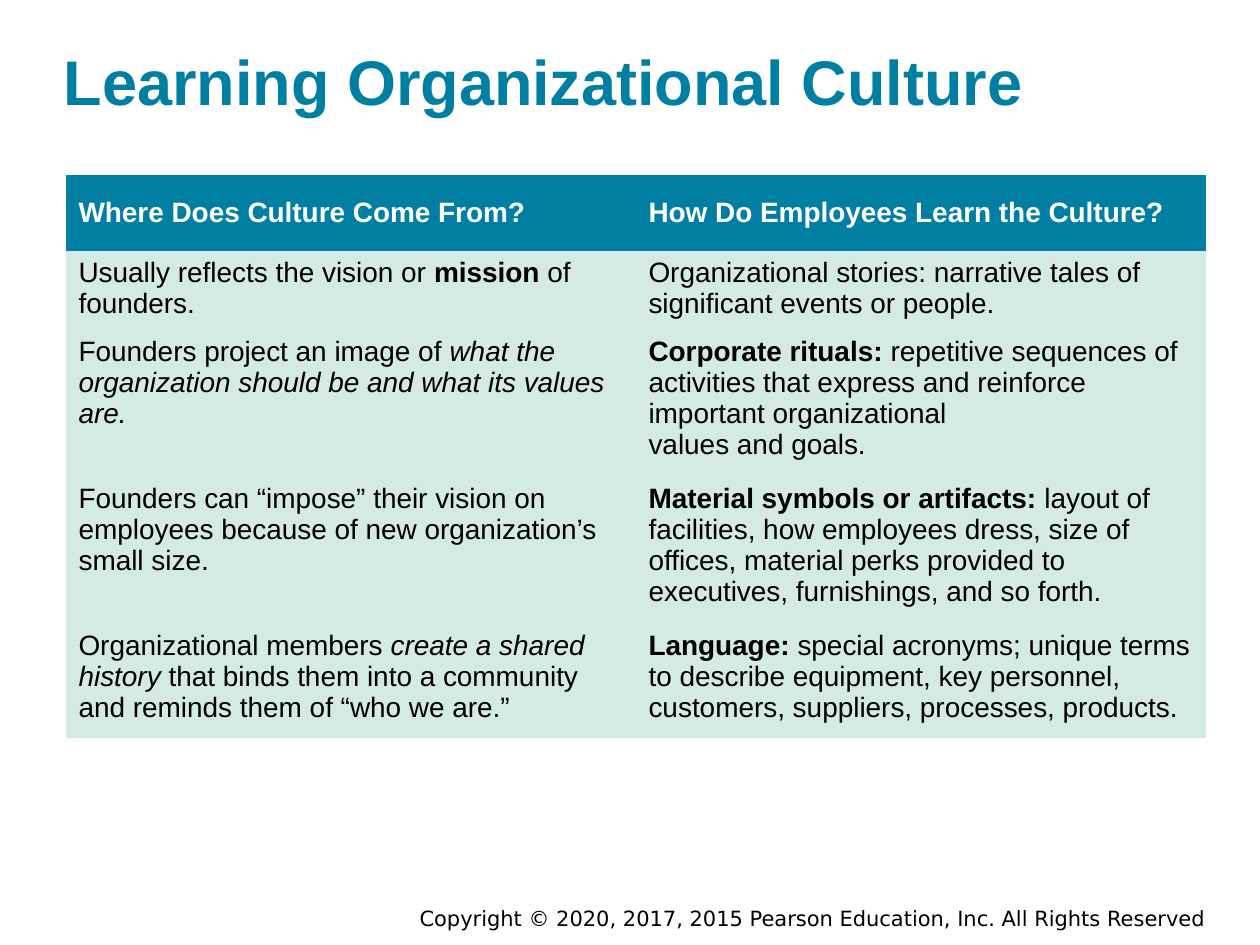
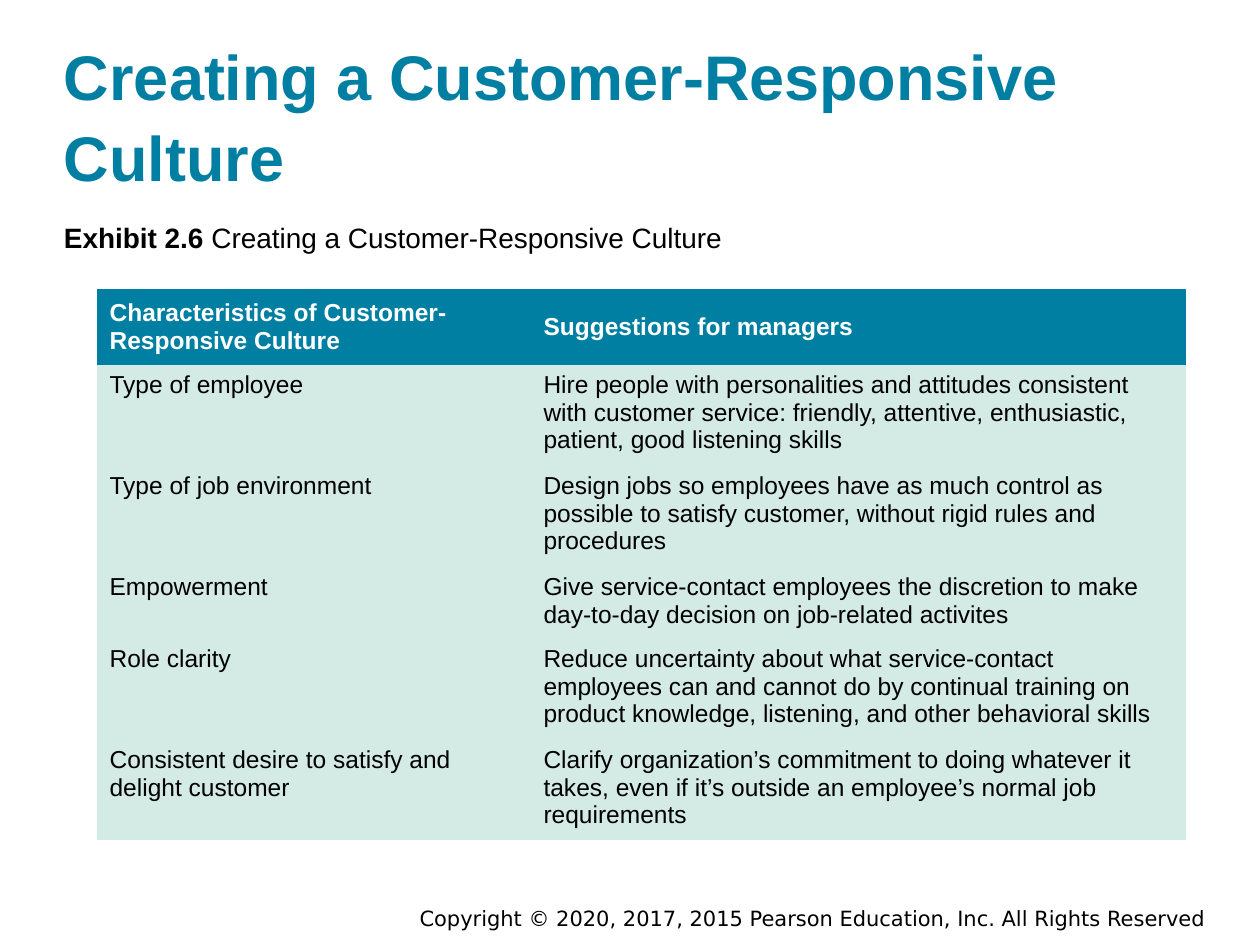
from pptx import Presentation
from pptx.dml.color import RGBColor
from pptx.enum.text import MSO_ANCHOR, MSO_AUTO_SIZE, PP_ALIGN
from pptx.util import Emu, Pt

LEFT, RIGHT = PP_ALIGN.LEFT, PP_ALIGN.RIGHT
TOP, MIDDLE, BOTTOM = MSO_ANCHOR.TOP, MSO_ANCHOR.MIDDLE, MSO_ANCHOR.BOTTOM
NO_FIT = MSO_AUTO_SIZE.NONE

COLORS = {"teal": "007FA3", "mint": "D4EAE4", "white": "FFFFFF", "black": "000000"}
FONT, FOOT_FONT = "Arial", "DejaVu Sans"
PLAIN_GRID = "{2D5ABB26-0587-4C30-8999-92F81FD0307C}"
HEAD = 76  # header row height
LOOSE = 1.07  # line spacing of titles and captions

FOOTER = "Copyright © 2020, 2017, 2015 Pearson Education, Inc. All Rights Reserved"

LEARN = [
    ("Where Does Culture Come From?", "How Do Employees Learn the Culture?"),
    ("Usually reflects the vision or *mission *of founders.",
     "Organizational stories: narrative tales of significant events or people."),
    ("Founders project an image of _what the organization should be and what its values are._",
     "*Corporate rituals: *repetitive sequences of activities that express and reinforce "
     "important organizational\nvalues and goals."),
    ("Founders can “impose” their vision on employees because of new organization’s small size.",
     "*Material symbols or artifacts: *layout of facilities, how employees dress, size of "
     "offices, material perks provided to executives, furnishings, and so forth."),
    ("Organizational members _create a shared history_ that binds them into a community "
     "and reminds them of “who we are.”",
     "*Language: *special acronyms; unique terms to describe equipment, key personnel, "
     "customers, suppliers, processes, products."),
]

RESPOND = [
    ("Characteristics of Customer-\nResponsive Culture", "Suggestions for managers"),
    ("Type of employee",
     "Hire people with personalities and attitudes consistent with customer service: "
     "friendly, attentive, enthusiastic, patient, good listening skills"),
    ("Type of job environment",
     "Design jobs so employees have as much control as possible to satisfy customer, "
     "without rigid rules and procedures"),
    ("Empowerment",
     "Give service-contact employees the discretion to make day-to-day decision on "
     "job-related activites"),
    ("Role clarity",
     "Reduce uncertainty about what service-contact employees can and cannot do by "
     "continual training on product knowledge, listening, and other behavioral skills"),
    ("Consistent desire to satisfy and delight customer",
     "Clarify organization’s commitment to doing whatever it takes, even if it’s outside "
     "an employee’s normal job requirements"),
]


def px(n):
    return Emu(round(n * 914400 / 126))


def rgb(name):
    return RGBColor.from_string(COLORS[name])


def write(frame, text, size, color, font=FONT, align=LEFT, bold=None, space=None):
    """Fill a frame; *stars* mark bold runs, _bars_ mark italic ones."""
    for n, line in enumerate(text.split("\n")):
        para = frame.add_paragraph() if n else frame.paragraphs[0]
        para.alignment, para.line_spacing = align, space
        style = para.font
        style.name, style.size, style.bold = font, Pt(size), bold
        style.color.rgb = rgb(color)
        for i, part in enumerate(line.split("*")):
            for j, bit in enumerate(part.split("_")):
                if bit:
                    run = para.add_run()
                    run.text = bit
                    if i % 2:
                        run.font.bold = True
                    if j % 2:
                        run.font.italic = True


def set_box(shape, box, anchor=TOP):
    shape.left, shape.top, shape.width, shape.height = map(px, box)
    frame = shape.text_frame
    frame.word_wrap, frame.auto_size = True, NO_FIT
    frame.vertical_anchor = anchor
    frame.margin_left = frame.margin_right = 0
    frame.margin_top = frame.margin_bottom = px(3)
    return frame


def add_text(slide, box, text, size, **look):
    shape = slide.shapes.add_textbox(0, 0, 0, 0)
    write(set_box(shape, box), text, size, "black", **look)


def add_grid(slide, box, cols, rows, data, size):
    """Table with a teal header row and a plain mint body."""
    shape = slide.shapes.add_table(len(rows), len(cols), *map(px, box))
    grid = shape.table
    grid.horz_banding = False
    grid._tbl.tblPr[0].text = PLAIN_GRID
    for col, wide in zip(grid.columns, cols):
        col.width = px(wide)
    for r, (row, high) in enumerate(zip(grid.rows, rows)):
        row.height = px(high)
        head = r == 0
        for cell, text in zip(row.cells, data[r]):
            cell.fill.solid()
            cell.fill.fore_color.rgb = rgb("teal" if head else "mint")
            cell.vertical_anchor = MIDDLE if head else TOP
            write(cell.text_frame, text, size, "white" if head else "black", bold=head)


def add_slide(deck, title, high):
    """Title-only slide with the shared title style and footer."""
    slide = deck.slides.add_slide(deck.slide_layouts[5])
    frame = set_box(slide.shapes.title, (64, 39, 1142, high), BOTTOM)
    write(frame, title, 36, "teal", bold=True, space=LOOSE)
    add_text(slide, (368, 903, 838, 30), FOOTER, 12, font=FOOT_FONT, align=RIGHT)
    return slide


def main():
    deck = Presentation()
    deck.slide_width, deck.slide_height = px(1260), px(945)

    # Where culture comes from and how it is learned
    slide = add_slide(deck, "Learning Organizational Culture", 82)
    add_grid(slide, (66, 175, 1140, 563), [570, 570],
             [HEAD, 79, 147, 147, 114], LEARN, 16)

    # Customer-responsive culture
    slide = add_slide(deck, "Creating a Customer-Responsive Culture", 158)
    add_text(slide, (64, 215, 1142, 39),
             "*Exhibit 2.6* Creating a Customer-Responsive Culture", 16, space=LOOSE)
    add_grid(slide, (97, 289, 1089, 551), [434, 655],
             [HEAD, 101, 101, 72, 101, 100], RESPOND, 14)

    deck.save("out.pptx")


if __name__ == "__main__":
    main()
